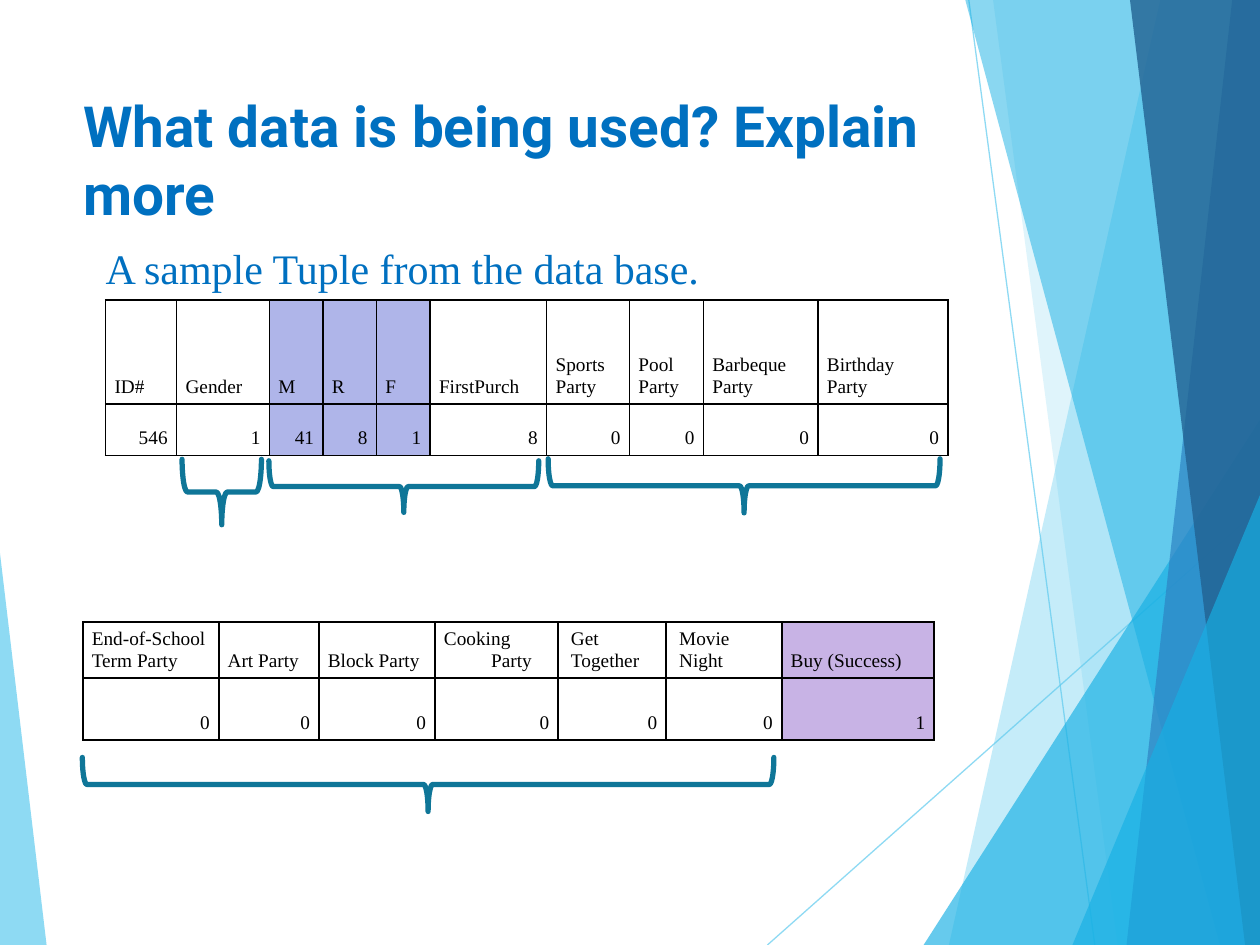
from typing import NamedTuple

from lxml import etree
from pptx import Presentation
from pptx.dml.color import RGBColor
from pptx.enum.shapes import MSO_CONNECTOR, MSO_SHAPE
from pptx.enum.text import MSO_ANCHOR, PP_ALIGN
from pptx.oxml.ns import qn
from pptx.util import Cm, Pt

STRAIGHT = MSO_CONNECTOR.STRAIGHT
TRIANGLE = MSO_SHAPE.ISOSCELES_TRIANGLE
RIGHT_BRACE = MSO_SHAPE.RIGHT_BRACE
TOP, BOTTOM = MSO_ANCHOR.TOP, MSO_ANCHOR.BOTTOM
LEFT, RIGHT = PP_ALIGN.LEFT, PP_ALIGN.RIGHT

WIDTH, HEIGHT = 25.4, 19.05
SKY, CYAN, BLUE, NAVY = "5FCBEF", "17B0E4", "2E83C3", "226292"
HEADING, BRACE, BLACK = "0070C0", "0F7698", "000000"
LILAC, PURPLE = "AFB5E9", "C8B3E5"
SERIF = "Times New Roman"
HANGING = 0.95


class Ray(NamedTuple):
    start: tuple[float, float]
    end: tuple[float, float]


class Band(NamedTuple):
    top_x: float
    bottom_x: float
    color: str
    opacity: int


class Wedge(NamedTuple):
    left: float
    top: float
    width: float
    apex: float
    color: str
    opacity: int


class Field(NamedTuple):
    label: str
    value: str
    width: float
    fill: str = ""
    margin: float = HANGING
    indent: float = -HANGING


class Brace(NamedTuple):
    left: float
    top: float
    span: float
    depth: float


def rgb(value: str) -> RGBColor:
    return RGBColor.from_string(value)


def set_opacity(fill_parent, percent: int) -> None:
    color = fill_parent.find(".//" + qn("a:srgbClr"))
    etree.SubElement(color, qn("a:alpha"), val=str(percent * 1000))


def paint(shape, color: str, opacity: int) -> None:
    shape.shadow.inherit = False
    shape.fill.solid()
    shape.fill.fore_color.rgb = rgb(color)
    set_opacity(shape._element.spPr, opacity)
    shape.line.fill.background()


def write(frame, text: str, *, size: float, color: str, font: str = SERIF,
          bold: bool = False, align=LEFT, margin: float = 0, indent: float = 0) -> None:
    frame.text = text
    for paragraph in frame.paragraphs:
        paragraph.alignment = align
        properties = paragraph._p.get_or_add_pPr()
        properties.set("marL", str(Cm(margin)))
        properties.set("indent", str(Cm(indent)))
        for run in paragraph.runs:
            run.font.size, run.font.name, run.font.bold = Pt(size), font, bold
            run.font.color.rgb = rgb(color)


def draw_ray(ray: Ray) -> None:
    line = slide.shapes.add_connector(STRAIGHT, *map(Cm, ray.start + ray.end))
    line.line.color.rgb = rgb(SKY)
    line.line.width = Pt(0.75)
    set_opacity(line._element.spPr, 70)
    etree.SubElement(line._element.spPr, qn("a:effectLst"))


def draw_band(band: Band) -> None:
    outline = slide.shapes.build_freeform(Cm(band.top_x), 0)
    corners = [(WIDTH, 0), (WIDTH, HEIGHT), (band.bottom_x, HEIGHT)]
    outline.add_line_segments([(Cm(x), Cm(y)) for x, y in corners], close=True)
    paint(outline.convert_to_shape(), band.color, band.opacity)


def draw_wedge(wedge: Wedge) -> None:
    shape = slide.shapes.add_shape(TRIANGLE, Cm(wedge.left), Cm(wedge.top),
                                   Cm(wedge.width), Cm(HEIGHT - wedge.top))
    shape.adjustments[0] = wedge.apex
    paint(shape, wedge.color, wedge.opacity)


def draw_border(cell) -> None:
    properties = cell._tc.get_or_add_tcPr()
    for position, side in enumerate(("a:lnL", "a:lnR", "a:lnT", "a:lnB")):
        edge = etree.Element(qn(side), w=str(Pt(1)))
        solid = etree.SubElement(edge, qn("a:solidFill"))
        etree.SubElement(solid, qn("a:srgbClr"), val=BLACK)
        properties.insert(position, edge)


def draw_record(left: float, top: float, heights: tuple[float, float],
                fields: list[Field]) -> None:
    width = sum(field.width for field in fields)
    table = slide.shapes.add_table(2, len(fields), Cm(left), Cm(top),
                                   Cm(width), Cm(sum(heights))).table
    table.first_row = table.horz_banding = False
    for row, height in zip(table.rows, heights):
        row.height = Cm(height)
    for column, field in enumerate(fields):
        table.columns[column].width = Cm(field.width)
        entries = [(field.label, LEFT, field.margin, field.indent),
                   (field.value, RIGHT, HANGING, -HANGING)]
        for row, (text, align, margin, indent) in enumerate(entries):
            cell = table.cell(row, column)
            cell.vertical_anchor = BOTTOM
            cell.margin_left = cell.margin_right = Cm(0.18)
            cell.margin_top = cell.margin_bottom = Cm(0.13)
            write(cell.text_frame, text, size=11, color=BLACK, align=align,
                  margin=margin, indent=indent)
            if field.fill:
                cell.fill.solid()
                cell.fill.fore_color.rgb = rgb(field.fill)
            else:
                cell.fill.background()
            draw_border(cell)


def draw_brace(brace: Brace) -> None:
    left = brace.left + (brace.span - brace.depth) / 2
    top = brace.top - (brace.span - brace.depth) / 2
    shape = slide.shapes.add_shape(RIGHT_BRACE, Cm(left), Cm(top),
                                   Cm(brace.depth), Cm(brace.span))
    shape.rotation = 90
    shape.shadow.inherit = False
    shape.fill.background()
    shape.line.color.rgb = rgb(BRACE)
    shape.line.width = Pt(3)
    shape.line._ln.set("cap", "rnd")


RAYS = [Ray((19.53, 0), (22.07, HEIGHT)), Ray((WIDTH, 10.24), (15.47, HEIGHT))]
BACKDROP = [
    Band(23.39, 19.13, SKY, 36),
    Band(20.02, 22.53, SKY, 20),
    Wedge(18.62, 8.46, 6.78, 1, CYAN, 66),
    Band(19.46, 24.59, CYAN, 50),
    Band(24.84, 22.71, BLUE, 70),
    Band(22.78, 25.1, NAVY, 80),
    Wedge(21.62, 9.98, 3.78, 1, CYAN, 66),
    Wedge(0, 11.15, 0.94, 0, SKY, 70),
]
CUSTOMER = [
    Field("ID#", "546", 1.43), Field("Gender", "1", 1.87),
    Field("M", "41", 1.08, LILAC), Field("R", "8", 1.08, LILAC),
    Field("F", "1", 1.08, LILAC), Field("FirstPurch", "8", 2.35),
    Field("Sports\nParty", "0", 1.67), Field("Pool\nParty", "0", 1.49),
    Field("Barbeque\nParty", "0", 2.31), Field("Birthday\nParty", "0", 2.62),
]
PARTIES = [
    Field("End-of-School Term Party", "0", 2.74, margin=0, indent=0),
    Field("Art Party", "0", 2.02), Field("Block Party", "0", 2.34),
    Field("Cooking Party", "0", 2.48),
    Field("Get Together", "0", 2.18, margin=0.08, indent=0),
    Field("Movie Night", "0", 2.33, margin=0.08, indent=0),
    Field("Buy (Success)", "1", 3.07, PURPLE),
]
BRACES = [Brace(5.42, 9.29, 5.44, 1.04), Brace(11.05, 9.25, 7.9, 1.09),
          Brace(3.67, 9.26, 1.6, 1.32), Brace(1.66, 15.27, 13.94, 1.09)]

deck = Presentation()
deck.slide_width, deck.slide_height = Cm(WIDTH), Cm(HEIGHT)
slide = deck.slides.add_slide(deck.slide_layouts[5])

for ray in RAYS:
    draw_ray(ray)
for part in BACKDROP:
    if isinstance(part, Band):
        draw_band(part)
    else:
        draw_wedge(part)

heading = slide.shapes.title
heading.left, heading.top, heading.width, heading.height = map(Cm, (1.42, 1.7, 17.91, 3.66))
heading.text_frame.vertical_anchor = TOP
write(heading.text_frame, "What data is being used? Explain more",
      size=32.4, color=HEADING, font="Roboto", bold=True)

draw_record(2.13, 6.05, (2.09, 1.04), CUSTOMER)
draw_record(1.67, 12.54, (1.12, 1.25), PARTIES)

caption = slide.shapes.add_textbox(Cm(1.88), Cm(4.65), Cm(15.9), Cm(2.82)).text_frame
caption.word_wrap = True
caption.vertical_anchor = TOP
caption.margin_top = Cm(0.23)
write(caption, "A sample Tuple from the data base.", size=24, color=HEADING)

for brace in BRACES:
    draw_brace(brace)

deck.save("out.pptx")
